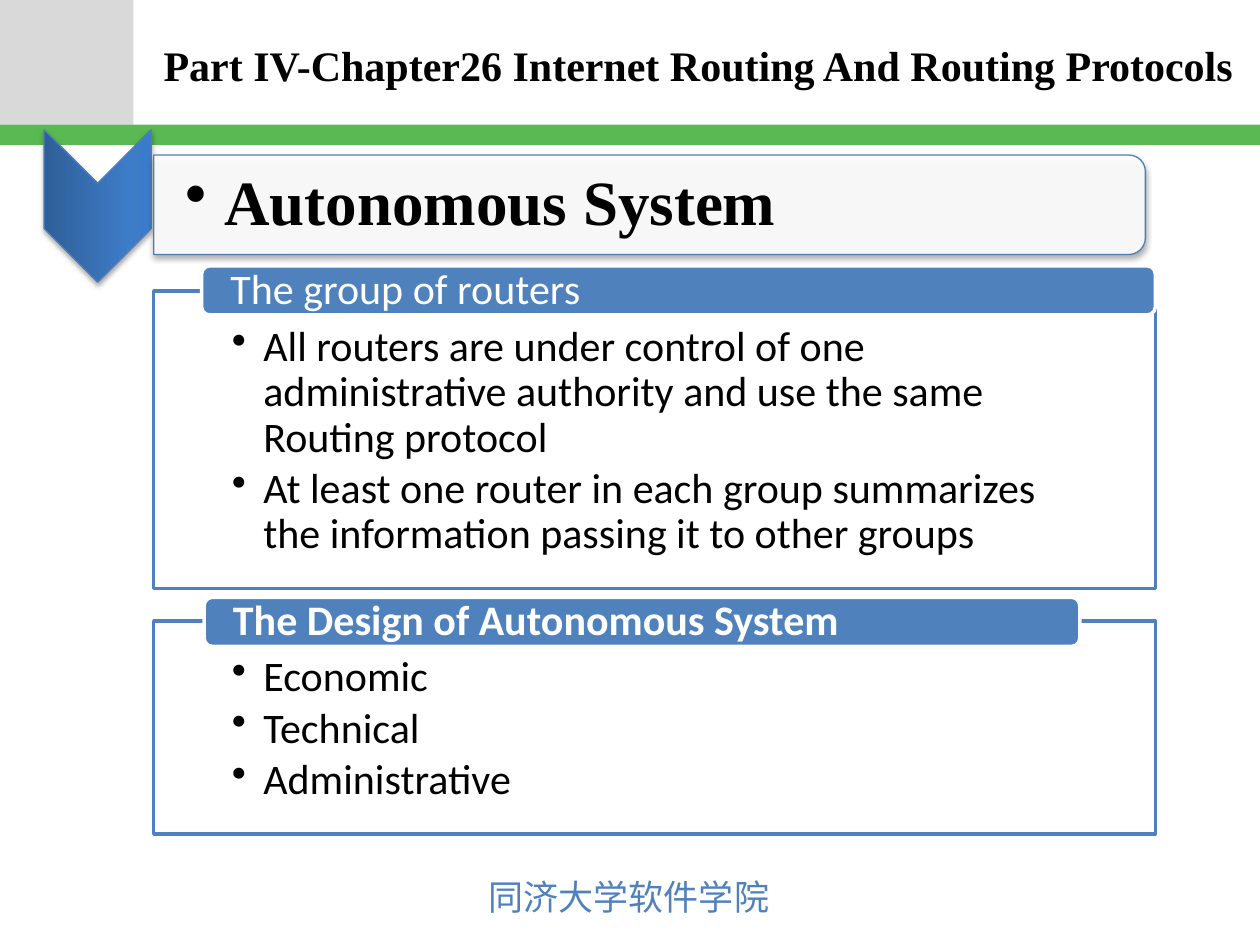
from lxml.etree import SubElement
from pptx import Presentation
from pptx.dml.color import RGBColor
from pptx.enum.shapes import MSO_SHAPE as Shape
from pptx.enum.text import MSO_ANCHOR as Anchor, PP_ALIGN as Align
from pptx.oxml import parse_xml
from pptx.oxml.ns import nsdecls, qn
from pptx.util import Inches, Pt

TITLE = "Part IV-Chapter26 Internet Routing And Routing Protocols"
HEADING = "Autonomous System"
FOOTER = "同济大学软件学院"
# Panel top and height, then the tab's left, top, width and weight
PANELS = [
    dict(top=2.31, height=2.36, tab=(1.6, 2.11, 7.57), bold=False,
         label="The group of routers",
         points=["All routers are under control of one administrative "
                 "authority and use the same Routing protocol",
                 "At least one router in each group summarizes the "
                 "information passing it to other groups"]),
    dict(top=4.93, height=1.69, tab=(1.62, 4.74, 6.95), bold=True,
         label="The Design of Autonomous System",
         points=["Economic", "Technical", "Administrative"]),
]
PANEL_LEFT, PANEL_WIDTH, TAB_HEIGHT = 1.22, 7.95, 0.39


class Theme:
    white, black, grey, green = "FFFFFF", "000000", "D9D9D9", "5AB953"
    blue, edge = "4F81BD", "4B7EBC"
    gradient = [(0, "2F5F99"), (80, "3D7CC7"), (100, "3A7CCB")]
    serif, sans, chinese = "Times New Roman", "Calibri", "Noto Sans CJK JP"
    footer_size, body_size, heading_size = 20, 24, 36
    thin, thick = 0.75, 2


def add_block(page, kind, place, fill=None, line=None, width=Theme.thin, alpha=None):
    block = page.shapes.add_shape(kind, *map(Inches, place))
    block.shadow.inherit = False
    if fill:
        block.fill.solid()
        block.fill.fore_color.rgb = RGBColor.from_string(fill)
    if alpha:
        color = block.fill._xPr.find(qn("a:solidFill"))[0]
        SubElement(color, qn("a:alpha"), val=str(alpha * 1000))
    if line:
        block.line.color.rgb = RGBColor.from_string(line)
        block.line.width = Pt(width)
    else:
        block.line.fill.background()
    return block


def add_shadow(block):
    effects = block._element.spPr.find(qn("a:effectLst"))
    effects.append(parse_xml(
        f'<a:outerShdw {nsdecls("a")} blurRad="{Pt(3.1)}" dist="{Pt(1.8)}" '
        f'dir="5400000" rotWithShape="0"><a:srgbClr val="{Theme.black}">'
        '<a:alpha val="35000"/></a:srgbClr></a:outerShdw>'))


def fill_gradient(block):
    stops = "".join(f'<a:gs pos="{at * 1000}"><a:srgbClr val="{color}"/></a:gs>'
                    for at, color in Theme.gradient)
    properties = block._element.spPr
    properties.find(qn("a:prstGeom")).addnext(parse_xml(
        f'<a:gradFill {nsdecls("a")} rotWithShape="1"><a:gsLst>{stops}</a:gsLst>'
        '<a:lin ang="16200000" scaled="0"/></a:gradFill>'))


def write(box, lines, font, size, color, bold=False, insets=(0.1, 0.05, 0.1, 0.05),
          anchor=Anchor.MIDDLE, indent=0, spacing=None, wrap=True):
    """Fill a box with paragraphs; an indent also gives them bullets."""
    frame = box.text_frame
    frame.word_wrap = wrap
    frame.vertical_anchor = anchor
    (frame.margin_left, frame.margin_top,
     frame.margin_right, frame.margin_bottom) = map(Inches, insets)
    for number, line in enumerate(lines):
        para = frame.add_paragraph() if number else frame.paragraphs[0]
        para.text = line
        para.alignment = Align.LEFT
        if spacing:
            para.line_spacing = spacing
        if indent:
            para.space_after = Pt(size * 0.15)
            properties = para._p.get_or_add_pPr()
            properties.set("marL", str(Inches(indent)))
            properties.set("indent", str(-Inches(indent)))
            SubElement(properties, qn("a:buChar"), char="•")
        para.font.name = font
        para.font.size = Pt(size)
        para.font.bold = bold
        para.font.color.rgb = RGBColor.from_string(color)
        if font == Theme.chinese:
            SubElement(para._p.pPr.find(qn("a:defRPr")), qn("a:ea"), typeface=font)


def add_text(page, place, *args, **options):
    write(page.shapes.add_textbox(*map(Inches, place)), *args, **options)


def add_frame(page):
    add_block(page, Shape.RECTANGLE, (0, 0, 1.06, 0.99), Theme.grey)
    add_block(page, Shape.RECTANGLE, (0, 0.99, 10, 0.16), Theme.green)
    add_text(page, (3.78, 6.9, 2.45, 0.44), [FOOTER], Theme.chinese,
             Theme.footer_size, Theme.blue, anchor=Anchor.TOP, wrap=False)
    add_text(page, (1.2, 0.02, 8.8, 0.98), [TITLE], Theme.serif,
             Theme.body_size, Theme.black, bold=True)


def add_heading(page):
    chevron = add_block(page, Shape.CHEVRON, (0.17, 1.21, 1.21, 0.85), line=Theme.edge)
    fill_gradient(chevron)
    banner = add_block(page, Shape.ROUND_2_SAME_RECTANGLE, (4.76, -2.31, 0.79, 7.87),
                       Theme.white, Theme.edge, alpha=90)
    for block in (chevron, banner):
        block.rotation = 90
        add_shadow(block)
    add_text(page, (1.22, 1.27, 7.84, 0.71), [HEADING], Theme.serif,
             Theme.heading_size, Theme.black, bold=True,
             insets=(0.25, 0.02, 0.02, 0.02), indent=0.31, spacing=0.9)


def add_panel(page, panel):
    body = add_block(page, Shape.RECTANGLE,
                     (PANEL_LEFT, panel["top"], PANEL_WIDTH, panel["height"]),
                     Theme.white, Theme.blue, Theme.thick, alpha=90)
    write(body, panel["points"], Theme.sans, Theme.body_size, Theme.black,
          insets=(0.62, 0.27, 0.62, 0.19), anchor=Anchor.TOP, indent=0.25, spacing=0.9)
    tab = add_block(page, Shape.ROUNDED_RECTANGLE, (*panel["tab"], TAB_HEIGHT),
                    Theme.blue, Theme.white, Theme.thick)
    write(tab, [panel["label"]], Theme.sans, Theme.body_size, Theme.white,
          bold=panel["bold"], insets=(0.21, 0, 0.21, 0), spacing=0.9)


def main():
    deck = Presentation()
    deck.slide_width, deck.slide_height = Inches(10), Inches(7.5)
    page = deck.slides.add_slide(deck.slide_layouts[6])
    add_frame(page)
    add_heading(page)
    for panel in PANELS:
        add_panel(page, panel)
    deck.save("out.pptx")


if __name__ == "__main__":
    main()
